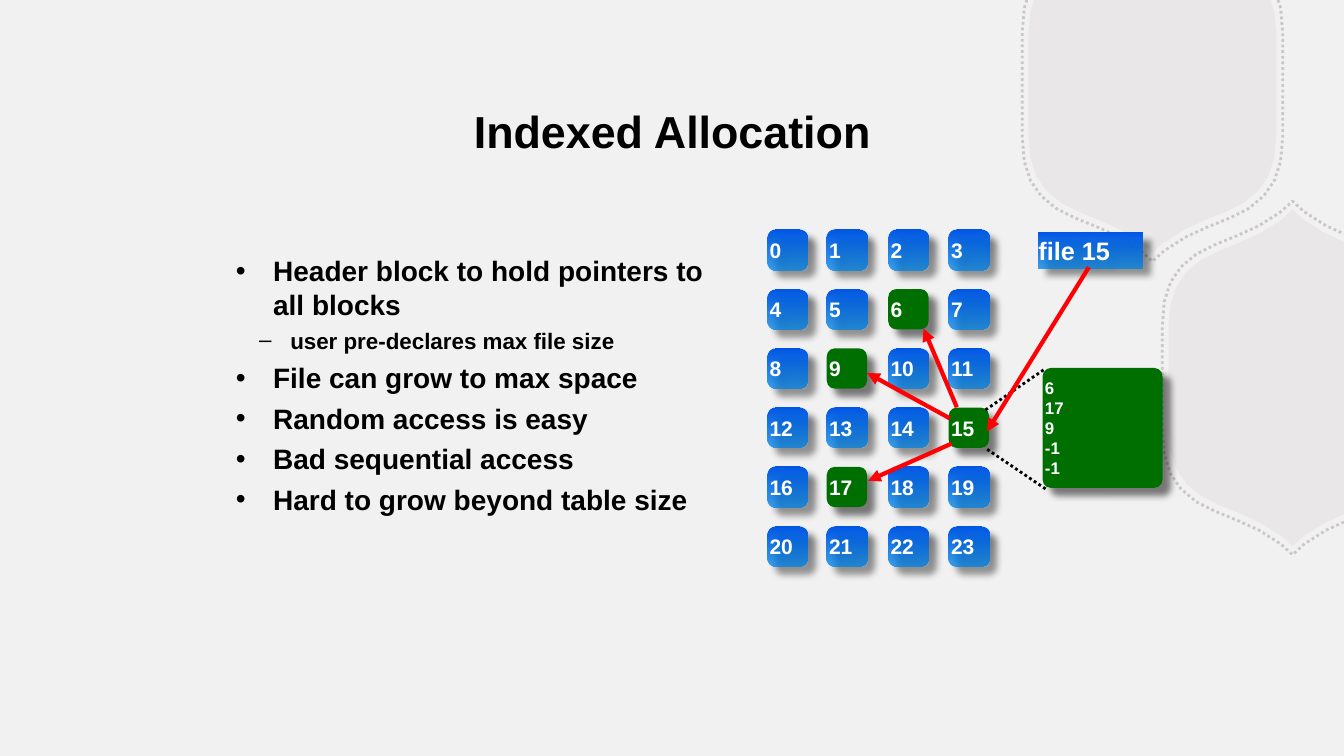
from pptx import Presentation
from pptx.dml.color import RGBColor
from pptx.enum.dml import MSO_LINE
from pptx.enum.shapes import MSO_CONNECTOR, MSO_SHAPE as Kind
from pptx.enum.text import MSO_ANCHOR as Anchor, PP_ALIGN as Align
from pptx.oxml.ns import qn
from pptx.util import Inches, Pt
from lxml.etree import SubElement as Sub

WIDE, HIGH = 13.33, 7.5
BLUE, GREEN = ("0057E5", "0082E5"), "006F02"
BLACK, WHITE, RED, GREY = "000000", "FFFFFF", "FF0004", "B8B2B2"


def rgb(code):
    return RGBColor.from_string(code)


def fade(root, share):
    """Set the opacity in percent of the last plain colour under root."""
    color = list(root.iter(qn("a:srgbClr")))[-1]
    Sub(color, qn("a:alpha"), val=str(share * 1000))


def curve(a, b, c, d, steps=4):
    """Points of a cubic curve, without its start."""
    for i in range(1, steps + 1):
        t = i / steps
        u = 1 - t
        yield tuple(u**3 * p + 3 * u * u * t * q + 3 * u * t * t * r + t**3 * s
                    for p, q, r, s in zip(a, b, c, d))


def hexagon(x, y, scale, turn):
    """Rounded hexagon round x, y, clockwise, from its top or from its right side."""
    side = [(0, -1.67), (0.11, -1.57)]
    side += curve(side[-1], (0.38, -1.36), (0.68, -1.31), (0.91, -1.17))
    side += curve(side[-1], (1.13, -1.02), (1.23, -0.84), (1.23, -0.49))
    half = side + [(a, -b) for a, b in reversed(side[1:])]
    ring = half + [(-a, -b) for a, b in half]
    cut = len(side) if turn else 0
    return [(x + a * scale, y + b * scale) for a, b in ring[cut:] + ring[:cut]]


def inside(dot):
    """Distance to the nearer of the right and top edges, negative off the slide."""
    return min(WIDE - dot[0], dot[1])


def clip(dots):
    """Keep the part on the slide, ending on its edge."""
    kept = []
    for a, b in zip(dots, dots[1:]):
        m, n = inside(a), inside(b)
        if (m < 0) != (n < 0):
            t = m / (m - n)
            kept.append((a[0] + t * (b[0] - a[0]), a[1] + t * (b[1] - a[1])))
        if n >= 0:
            kept.append(b)
    return kept


class Deck:
    font = "Arial"

    def __init__(self):
        self.file = Presentation()
        self.file.slide_width, self.file.slide_height = Inches(WIDE), Inches(HIGH)
        self.slide = self.file.slides.add_slide(self.file.slide_layouts[5])
        self.shapes = self.slide.shapes
        back = self.slide.background.fill
        back.solid()
        back.fore_color.rgb = rgb("F2F1F1")

    def run(self, para, text, size, color):
        run = para.add_run()
        run.text = text
        font = run.font
        font.name, font.size, font.bold = self.font, Pt(size), True
        font.color.rgb = rgb(color)

    def title(self, text, box):
        head = self.shapes.title
        head.left, head.top, head.width, head.height = map(Inches, box)
        frame = head.text_frame
        frame.vertical_anchor = Anchor.MIDDLE
        para = frame.paragraphs[0]
        para.alignment = Align.CENTER
        self.run(para, text, 32, BLACK)

    def comb(self, x, y, scale, turn, dotted):
        """Draw the part of a hexagon that lies on the slide."""
        dots = [(Inches(a), Inches(b)) for a, b in clip(hexagon(x, y, scale, turn))]
        pen = self.shapes.build_freeform(*dots[0])
        pen.add_line_segments(dots[1:], close=not dotted)
        shape = pen.convert_to_shape()
        shape.shadow.inherit = False
        if dotted:
            shape.fill.background()
            self.stroke(shape.line, GREY, 2, True)
            fade(shape.element, 65)
        else:
            shape.line.fill.background()
            shape.fill.solid()
            shape.fill.fore_color.rgb = rgb(GREY)
            fade(shape.element, 15)

    def stroke(self, line, color, width, dotted=False):
        line.color.rgb = rgb(color)
        line.width = Pt(width)
        if dotted:
            line.dash_style = MSO_LINE.ROUND_DOT

    def bullets(self, items, box):
        frame = self.shapes.add_textbox(*map(Inches, box)).text_frame
        frame.word_wrap = True
        for i, (level, text) in enumerate(items):
            para = frame.add_paragraph() if i else frame.paragraphs[0]
            mark, left, hang, size, gap = (("•", 0.37, 0.37, 20, 5),
                                           ("–", 0.54, 0.31, 16, 4))[level]
            para.level = level
            para.space_before = Pt(gap if i else 0)
            props = para._p.get_or_add_pPr()
            props.set("marL", str(Inches(left)))
            props.set("indent", str(-Inches(hang)))
            Sub(Sub(props, qn("a:buClr")), qn("a:srgbClr"), val=BLACK)
            Sub(props, qn("a:buFont"), typeface=self.font)
            Sub(props, qn("a:buChar"), char=mark)
            self.run(para, text, size, BLACK)

    def block(self, lines, box, fill, size, bend=None):
        """Shadowed block; bend is the corner rounding, None for square corners."""
        kind = Kind.RECTANGLE if bend is None else Kind.ROUNDED_RECTANGLE
        shape = self.shapes.add_shape(kind, *map(Inches, box))
        if bend is not None:
            shape.adjustments[0] = bend
        shape.line.fill.background()
        if fill == BLUE:
            shape.fill.gradient()
            shape.fill.gradient_angle = 270
            for stop, color, spot in zip(shape.fill.gradient_stops, fill, (0, 1)):
                stop.color.rgb, stop.position = rgb(color), spot
            fade(shape.element, 75)
        else:
            shape.fill.solid()
            shape.fill.fore_color.rgb = rgb(fill)
        self.shade(shape)
        frame = shape.text_frame
        frame.margin_left = frame.margin_right = 0
        frame.margin_top = frame.margin_bottom = 0
        frame.vertical_anchor = Anchor.MIDDLE
        for i, text in enumerate(lines):
            para = frame.add_paragraph() if i else frame.paragraphs[0]
            para.alignment = Align.LEFT
            self.run(para, text, size, WHITE)

    def shade(self, shape):
        shape.shadow.inherit = False
        effect = shape.element.spPr.find(qn("a:effectLst"))
        drop = Sub(effect, qn("a:outerShdw"), blurRad=str(Pt(5)), dist=str(Pt(8)),
                   dir="2700000", algn="ctr", rotWithShape="0")
        Sub(drop, qn("a:srgbClr"), val=BLACK)
        fade(drop, 50)

    def link(self, start, end, color, width, arrow):
        """Arrow with its head at start, or a dotted line."""
        line = self.shapes.add_connector(MSO_CONNECTOR.STRAIGHT, *map(Inches, start + end))
        self.stroke(line.line, color, width, not arrow)
        if arrow:
            Sub(line.element.spPr.find(qn("a:ln")), qn("a:headEnd"), type="triangle")
        Sub(line.element.spPr, qn("a:effectLst"))


def main():
    deck = Deck()
    for dotted, scale in ((False, 1), (True, 1.05)):
        deck.comb(11.43, 0.84, scale, False, dotted)
        deck.comb(12.82, 3.75, scale, True, dotted)
    deck.title("Indexed Allocation", (2.42, 0.67, 8.5, 1.25))
    deck.bullets([
        (0, "Header block to hold pointers to all blocks"),
        (1, "user pre-declares max file size"),
        (0, "File can grow to max space"),
        (0, "Random access is easy"),
        (0, "Bad sequential access"),
        (0, "Hard to grow beyond table size"),
    ], (2.24, 2.47, 5.19, 2.92))

    used = {6, 9, 15, 17}
    columns = 7.61, 8.2, 8.81, 9.41
    for n in range(24):
        row, col = divmod(n, 4)
        box = (columns[col], 2.28 + 2.94 * row / 5, 0.4, 0.4)
        deck.block([str(n)], box, GREEN if n in used else BLUE, 15, 0.2)
    deck.block(["file 15"], (10.3, 2.31, 1.03, 0.35), BLUE, 18)
    deck.block(["6", "17", "9", "-1", "-1"], (10.34, 3.65, 1.19, 1.19), GREEN, 12, 0.07)

    for start, end in (((10.35, 3.67), (9.77, 4.07)), ((10.37, 4.85), (9.78, 4.45))):
        deck.link(start, end, BLACK, 2, False)
    for start, end in (((9.79, 4.28), (10.8, 2.65)), ((9.16, 3.26), (9.49, 4.04)),
                       ((8.6, 3.7), (9.42, 4.15)), ((8.61, 4.77), (9.44, 4.4))):
        deck.link(start, end, RED, 3, True)
    deck.file.save("out.pptx")


if __name__ == "__main__":
    main()
